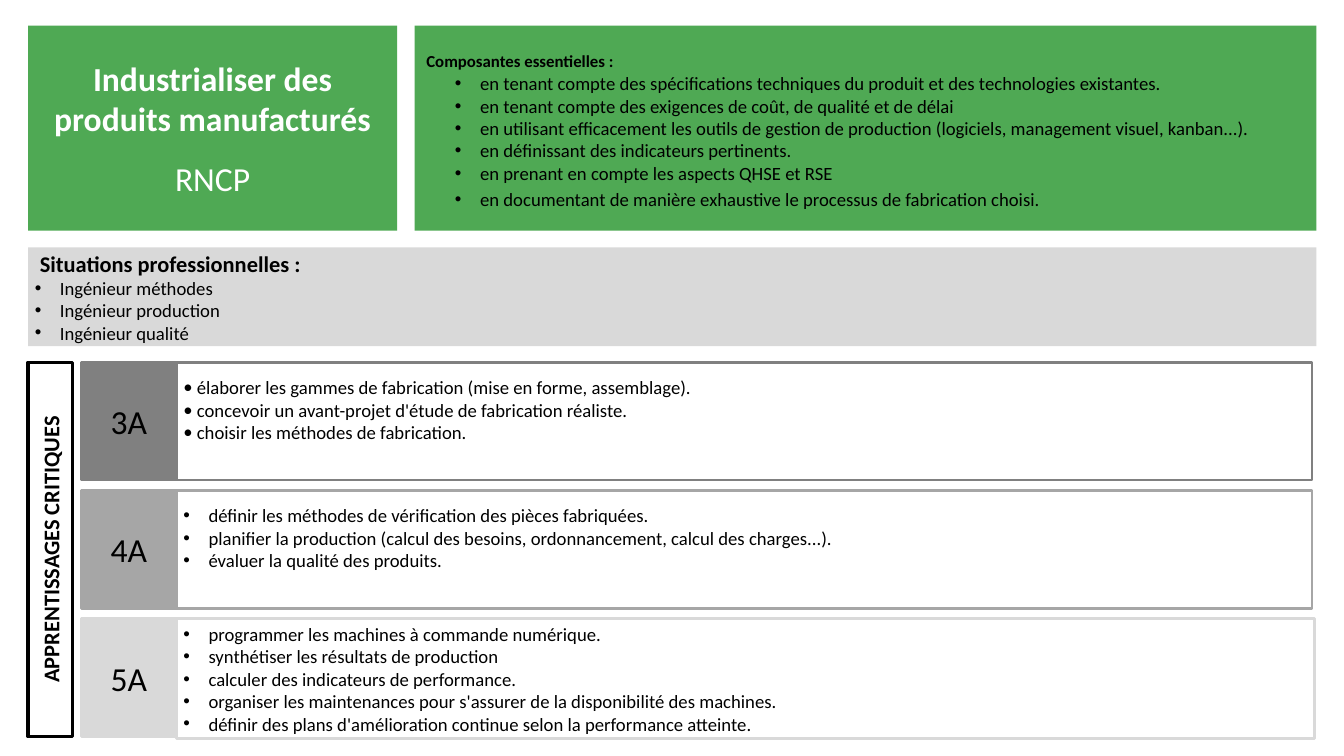
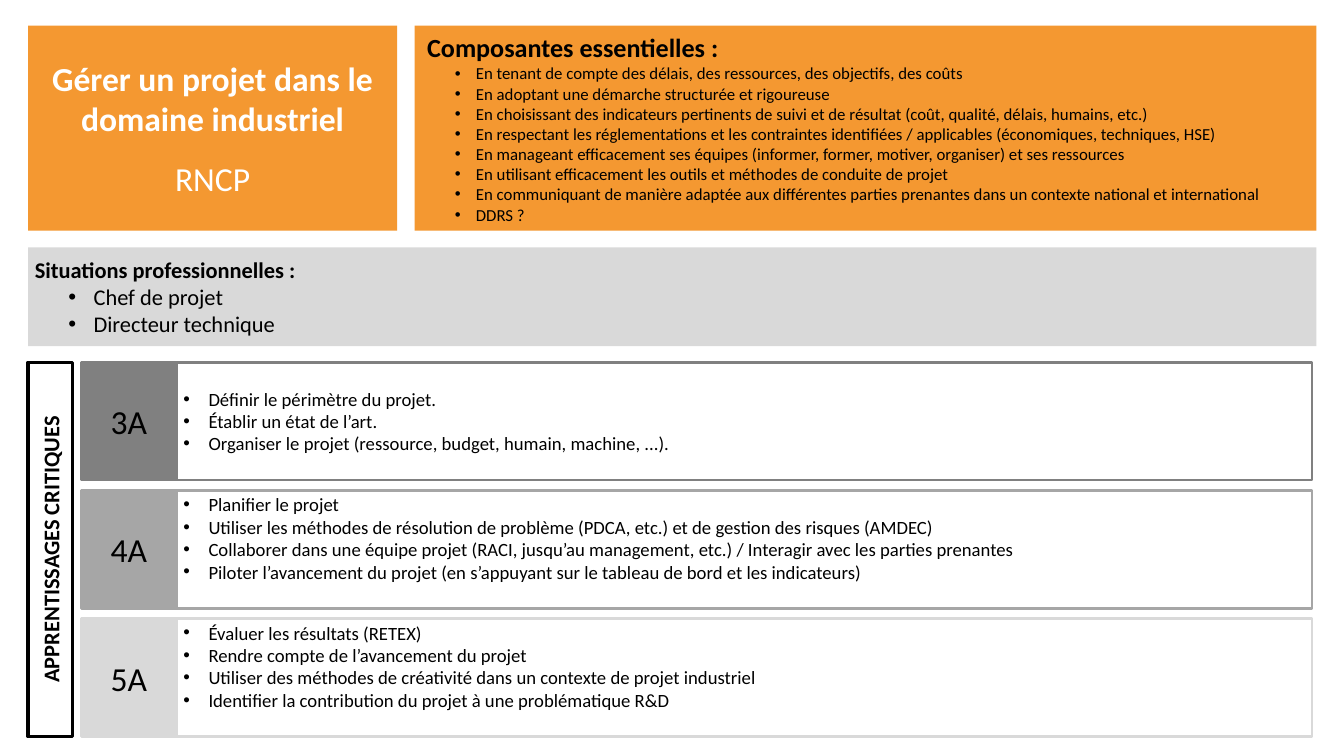
from dataclasses import dataclass
from typing import Any, NamedTuple

from lxml.etree import SubElement
from pptx import Presentation
from pptx.dml.color import RGBColor
from pptx.enum.shapes import MSO_SHAPE as Shp
from pptx.enum.text import MSO_ANCHOR as Anchor, MSO_AUTO_SIZE as AutoSize, PP_ALIGN as Align
from pptx.oxml.ns import qn
from pptx.util import Pt

FONT = "Calibri"
COLORS = {
    "text": "000000", "white": "FFFFFF", "band": "D9D9D9",
    "green": "4FA954", "orange": "F49831",
    "3A": "808080", "4A": "A6A6A6", "5A": "D9D9D9",
}
LINE = 24.4  # height of one 20 pt line


class Box(NamedTuple):
    left: float
    top: float
    width: float
    height: float


@dataclass
class BulletList:
    items: list[str]
    heading: str = ""
    heading_size: float = 24
    heading_indent: float = 0
    heading_after: float = 0
    size: float = 20
    indent: float = 27
    hanging: float = 27
    bullet_font: str = "Arial"
    last_before: float = 0
    inset_top: float = 3.6
    inset_bottom: float = 3.6
    extra: tuple[float, float] = (0, 0)  # added width and height of the box


@dataclass
class Skill:
    title: str
    color: str
    components: BulletList
    situations: BulletList
    years: dict[str, BulletList]


# Shared layout
TITLE = Box(30.2, 27.4, 395.3, 219.6)
COMPONENTS = Box(444.2, 27.4, 966.2, 219.6)
SITUATIONS = Box(30.2, 265, 1380.2, 105.8)
ROW_TOP, ROW_HEIGHT, ROW_PITCH = 388.1, 126.2, 137.4
SIDE = Box(30.2, ROW_TOP, 47.5, 2 * ROW_PITCH + ROW_HEIGHT)
YEAR_LEFT, YEAR_WIDTH = 87.1, 102.2
ROW_LEFT, ROW_WIDTH = YEAR_LEFT + YEAR_WIDTH, 1216.5


SKILLS = [
    Skill(
        "Industrialiser des produits manufacturés", "green",
        BulletList([
            "en tenant compte des spécifications techniques du produit et des technologies existantes.",
            "en tenant compte des exigences de coût, de qualité et de délai",
            "en utilisant efficacement les outils de gestion de production "
            "(logiciels, management visuel, kanban...).",
            "en définissant des indicateurs pertinents.",
            "en prenant en compte les aspects QHSE et RSE",
            "en documentant de manière exhaustive le processus de fabrication choisi.",
        ], "Composantes essentielles :", 18, 5.4, 1.6, indent=63,
            last_before=3.8, inset_top=9.3, inset_bottom=4.7),
        BulletList(["Ingénieur méthodes", "Ingénieur production", "Ingénieur qualité"],
                   "Situations professionnelles :", heading_indent=5.4),
        {
            "3A": BulletList([
                "élaborer les gammes de fabrication (mise en forme, assemblage).",
                "concevoir un avant-projet d'étude de fabrication réaliste.",
                "choisir les méthodes de fabrication.",
            ], indent=14.5, hanging=14.5, bullet_font=FONT, inset_bottom=3.6 + LINE),
            "4A": BulletList([
                "définir les méthodes de vérification des pièces fabriquées.",
                "planifier la production (calcul des besoins, ordonnancement, calcul des charges...).",
                "évaluer la qualité des produits.",
            ], inset_bottom=3.6 + LINE),
            "5A": BulletList([
                "programmer les machines à commande numérique.",
                "synthétiser les résultats de production",
                "calculer des indicateurs de performance.",
                "organiser les maintenances pour s'assurer de la disponibilité des machines.",
                "définir des plans d'amélioration continue selon la performance atteinte.",
            ], extra=(3, 2.5)),
        },
    ),
    Skill(
        "Gérer un projet dans le domaine industriel", "orange",
        BulletList([
            "En tenant de compte des délais, des ressources, des objectifs, des coûts",
            "En adoptant une démarche structurée et rigoureuse",
            "En choisissant des indicateurs pertinents de suivi et de résultat "
            "(coût, qualité, délais, humains, etc.)",
            "En respectant les réglementations et les contraintes identifiées / applicables "
            "(économiques, techniques, HSE)",
            "En manageant efficacement ses équipes (informer, former, motiver, organiser) "
            "et ses ressources",
            "En utilisant efficacement les outils et méthodes de conduite de projet",
            "En communiquant de manière adaptée aux différentes parties prenantes "
            "dans un contexte national et international",
            "DDRS ?",
        ], "Composantes essentielles :", 28, 6.3, size=18, indent=58.5, hanging=22.5),
        BulletList(["Chef de projet", "Directeur technique"],
                   "Situations professionnelles :", size=24, indent=63),
        {
            "3A": BulletList([
                "Définir le périmètre du projet.",
                "Établir un état de l’art.",
                "Organiser le projet (ressource, budget, humain, machine, ...).",
            ]),
            "4A": BulletList([
                "Planifier le projet",
                "Utiliser les méthodes de résolution de problème (PDCA, etc.) "
                "et de gestion des risques (AMDEC)",
                "Collaborer dans une équipe projet (RACI, jusqu’au management, etc.) / "
                "Interagir avec les parties prenantes",
                "Piloter l’avancement du projet (en s’appuyant sur le tableau de bord "
                "et les indicateurs)",
            ], inset_bottom=3.6 + LINE),
            "5A": BulletList([
                "Évaluer les résultats (RETEX)",
                "Rendre compte de l’avancement du projet",
                "Utiliser des méthodes de créativité dans un contexte de projet industriel",
                "Identifier la contribution du projet à une problématique R&D",
            ], inset_bottom=3.6 + LINE),
        },
    ),
]


def set_all(obj: Any, values: dict[str, Any]) -> None:
    for name, value in values.items():
        setattr(obj, name, value)


def rgb(name: str) -> RGBColor:
    return RGBColor.from_string(COLORS[name])


def format_box(sp: Any, box: Box, fill: str) -> None:
    """Place and fill a shape or placeholder, and prepare its text frame."""
    set_all(sp, {name: Pt(value) for name, value in box._asdict().items()})
    sp.fill.solid()
    sp.fill.fore_color.rgb = rgb(fill)
    set_all(sp.text_frame, {
        "word_wrap": True, "auto_size": AutoSize.NONE, "vertical_anchor": Anchor.MIDDLE,
        "margin_left": Pt(7.2), "margin_right": Pt(7.2),
        "margin_top": Pt(3.6), "margin_bottom": Pt(3.6),
    })


def add_box(s: Any, box: Box, fill: str, line: str = "", width: float = 3) -> Any:
    sp = s.shapes.add_shape(Shp.RECTANGLE, *map(Pt, box))
    sp.shadow.inherit = False
    format_box(sp, box, fill)
    if line:
        sp.line.color.rgb = rgb(line)
        sp.line.width = Pt(width)
    else:
        sp.line.fill.background()
    return sp


def add_text(tf: Any, text: str, size: float, bold: bool = False, color: str = "text",
             align: Any = Align.CENTER) -> Any:
    """Write the text in the first paragraph if it is free, else in a new one."""
    p = tf.paragraphs[0] if not tf.text else tf.add_paragraph()
    set_all(p, {"alignment": align, "space_before": Pt(0), "space_after": Pt(0)})
    r = p.add_run()
    r.text = text
    set_all(r.font, {"name": FONT, "size": Pt(size), "bold": bold})
    r.font.color.rgb = rgb(color)
    return p


def set_bullet(p: Any, indent: float, hanging: float = 0, font: str = "") -> None:
    pPr = p._p.get_or_add_pPr()
    pPr.set("marL", str(Pt(indent)))
    pPr.set("indent", str(-Pt(hanging)))
    if font:
        SubElement(pPr, qn("a:buFont"), typeface=font)
        SubElement(pPr, qn("a:buChar"), char="•")
    else:
        SubElement(pPr, qn("a:buNone"))


def fill_list(sp: Any, data: BulletList) -> None:
    tf = sp.text_frame
    set_all(tf, {"margin_top": Pt(data.inset_top), "margin_bottom": Pt(data.inset_bottom)})
    if data.heading:
        p = add_text(tf, data.heading, data.heading_size, True, align=Align.LEFT)
        p.space_after = Pt(data.heading_after)
        set_bullet(p, data.heading_indent)
    for item in data.items:
        p = add_text(tf, item, data.size, align=Align.LEFT)
        p.level = int(data.indent > data.hanging)
        set_bullet(p, data.indent, data.hanging, data.bullet_font)
    if data.last_before:
        p.space_before = Pt(data.last_before)


def add_side_label(s: Any) -> None:
    # The turned box shares its centre with the upright outline
    shift = (SIDE.height - SIDE.width) / 2
    box = Box(SIDE.left - shift, SIDE.top + shift, SIDE.height, SIDE.width)
    sp = add_box(s, box, "white", "text", 3.75)
    sp.rotation = 270
    add_text(sp.text_frame, "APPRENTISSAGES CRITIQUES", 24, True)


def add_year(s: Any, row: int, year: str, data: BulletList) -> None:
    top = ROW_TOP + row * ROW_PITCH
    wider, taller = data.extra
    box = Box(ROW_LEFT, top, ROW_WIDTH + wider, ROW_HEIGHT + taller)
    fill_list(add_box(s, box, "white", year), data)
    label = add_box(s, Box(YEAR_LEFT, top, YEAR_WIDTH, ROW_HEIGHT), year, year)
    add_text(label.text_frame, year, 36)


def add_skill_slide(prs: Any, skill: Skill) -> None:
    s = prs.slides.add_slide(prs.slide_layouts[1])

    # Title and essential components
    title, body = s.shapes.title, s.placeholders[1]
    format_box(title, TITLE, skill.color)
    add_text(title.text_frame, skill.title, 36, True, "white")
    add_text(title.text_frame, "RNCP", 36, False, "white").line_spacing = 1.5
    format_box(body, COMPONENTS, skill.color)
    fill_list(body, skill.components)

    # Professional situations
    fill_list(add_box(s, SITUATIONS, "band"), skill.situations)

    # Learning outcomes by year
    add_side_label(s)
    for row, (year, data) in enumerate(skill.years.items()):
        add_year(s, row, year, data)


def main() -> None:
    prs = Presentation()
    set_all(prs, {"slide_width": Pt(1440), "slide_height": Pt(810)})
    for skill in SKILLS:
        add_skill_slide(prs, skill)
    prs.save("out.pptx")


if __name__ == "__main__":
    main()
